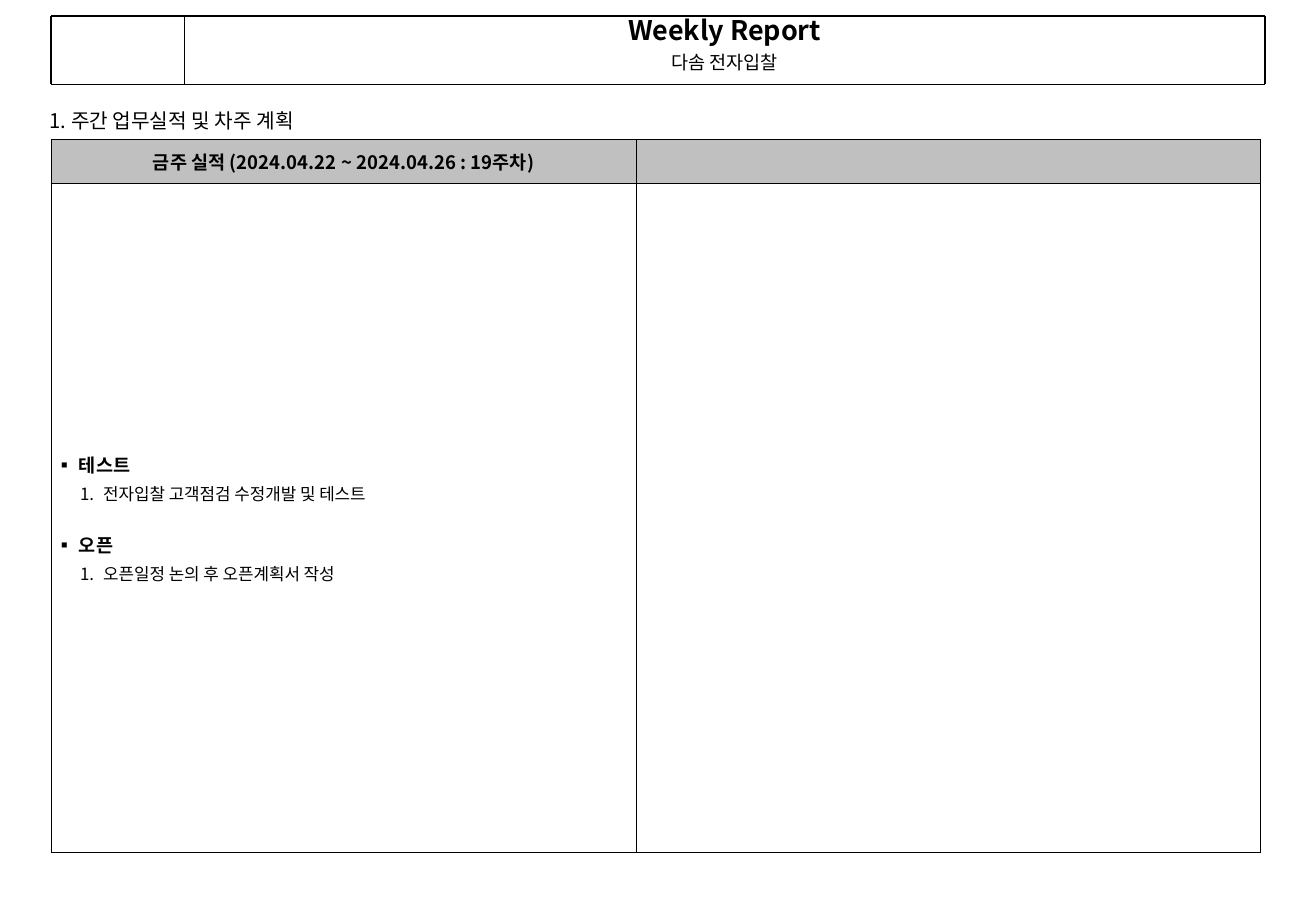
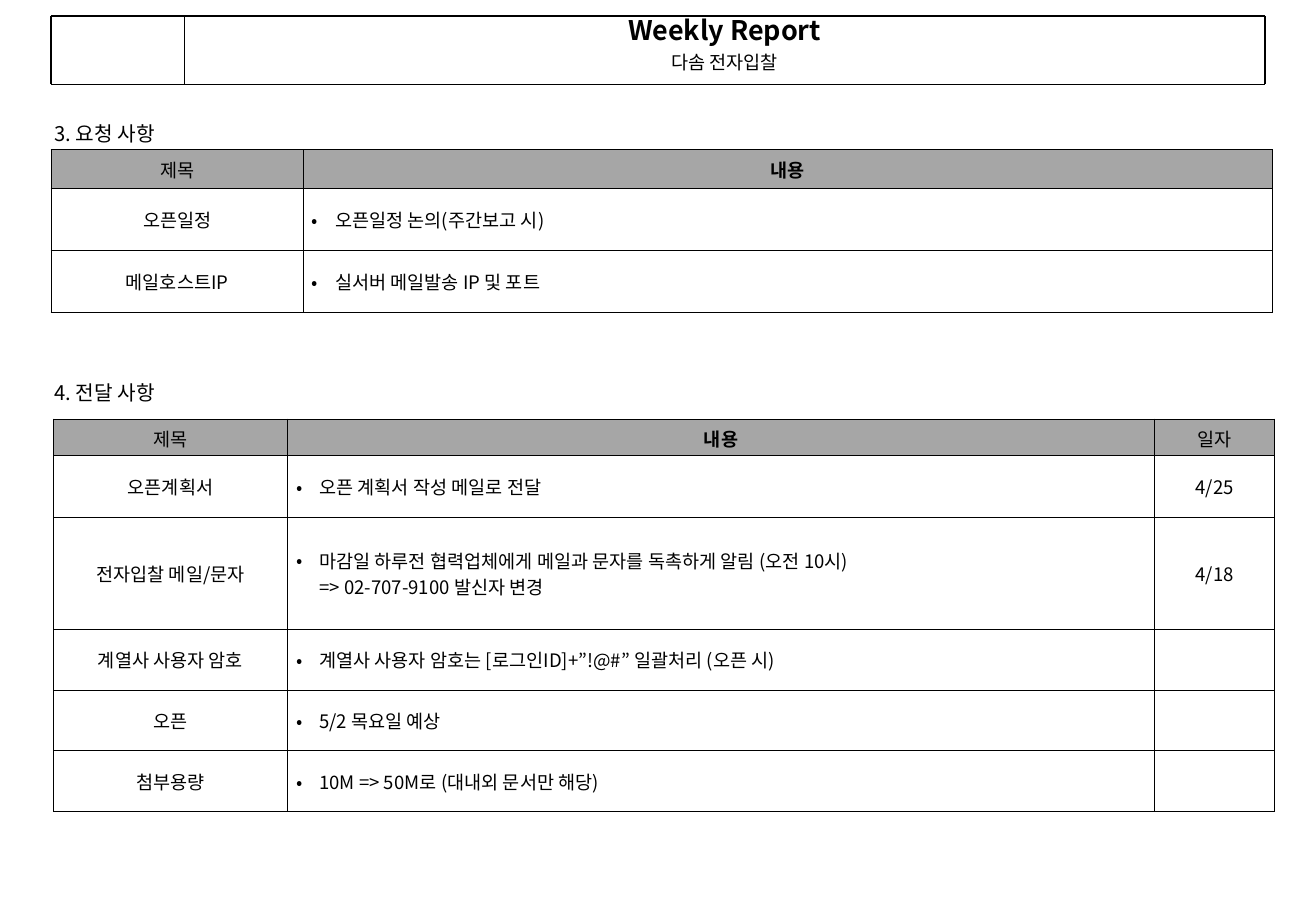
from dataclasses import dataclass

import pptx
import pptx.dml.color
import pptx.enum.shapes
import pptx.enum.text
import pptx.oxml.ns
import pptx.util
from lxml import etree

EMU_PER_PX = 9144
SLIDE_W, SLIDE_H = 1084, 750
TITLE_ONLY = 5
FONT = "Noto Sans CJK KR"
COLORS = {"ink": "000000", "silver": "C0C0C0", "gray": "A6A6A6", "white": "FFFFFF"}
HAIRLINE, THIN, MEDIUM, THICK = 0.25, 0.45, 0.75, 1.5
ALIGN = pptx.enum.text.PP_ALIGN
ANCHOR = pptx.enum.text.MSO_ANCHOR
AUTO_SIZE = pptx.enum.text.MSO_AUTO_SIZE
qn = pptx.oxml.ns.qn


@dataclass(frozen=True)
class Para:
    text: str
    size: int = 11
    bold: bool = False
    bullet: str = ""  # a bullet character, or "1." for automatic numbers
    level: int = 0
    centered: bool = False
    before: float = 0
    after: float = 0
    spacing: float = 1


@dataclass(frozen=True)
class Heading:
    text: str
    left: int
    top: int
    width: int = 108
    wrap: bool = False


@dataclass(frozen=True)
class Rule:
    x1: int
    y1: int
    x2: int
    y2: int
    weight: float


@dataclass(frozen=True)
class Grid:
    left: int
    top: int
    cols: list[int]
    heights: list[int]
    rows: list[list[list[Para]]]
    header_fill: str
    body_fill: str | None = None
    side_margins: tuple[int, int] = (7, 7)  # header row, body rows
    edge_weight: float = THIN  # top and right outer edges


BANNER_LEFT, BANNER_SPLIT, BANNER_RIGHT = 42, 152, 1042
BANNER_TOP, BANNER_BOTTOM = 13, 69
BANNER_RULES = [
    Rule(x, BANNER_TOP, x, BANNER_BOTTOM, weight)
    for x, weight in ((BANNER_SPLIT, HAIRLINE), (BANNER_LEFT, THICK), (BANNER_RIGHT, THICK))
] + [
    Rule(BANNER_LEFT, y, BANNER_RIGHT, y, weight)
    for y, weight in ((BANNER_TOP, THICK), (BANNER_BOTTOM, HAIRLINE))
]
BANNER_TEXT = [
    Para("Weekly Report", 16, bold=True, centered=True, spacing=0.95),
    Para("다솜 전자입찰", centered=True, before=2.8),
]


def px(n: int) -> pptx.util.Emu:
    return pptx.util.Emu(n * EMU_PER_PX)


def rgb(name: str) -> pptx.dml.color.RGBColor:
    return pptx.dml.color.RGBColor.from_string(COLORS[name])


def add_bullet(p, para: Para) -> None:
    pPr = p._p.get_or_add_pPr()
    pPr.set("marL", str(px(19 + 20 * para.level)))
    pPr.set("indent", str(px(-19)))
    color = etree.SubElement(pPr, qn("a:buClr"))
    etree.SubElement(color, qn("a:srgbClr"), val=COLORS["ink"])
    etree.SubElement(pPr, qn("a:buFont"), typeface=FONT)
    if para.bullet == "1.":
        etree.SubElement(pPr, qn("a:buAutoNum"), type="arabicPeriod")
    else:
        etree.SubElement(pPr, qn("a:buChar"), char=para.bullet)


def write(tf, paras: list[Para]) -> None:
    for i, para in enumerate(paras):
        p = tf.add_paragraph() if i else tf.paragraphs[0]
        if para.bullet:
            add_bullet(p, para)
        p.level = para.level
        p.alignment = ALIGN.CENTER if para.centered else ALIGN.LEFT
        p.space_before = pptx.util.Pt(para.before)
        p.space_after = pptx.util.Pt(para.after)
        p.line_spacing = para.spacing
        for j, line in enumerate(para.text.split("\n")):
            if j:
                p.add_line_break()
            r = p.add_run()
            r.text = line
            r.font.size = pptx.util.Pt(para.size)
            r.font.bold = para.bold
            r.font.name = FONT
            r.font.color.rgb = rgb("ink")
            etree.SubElement(r._r.get_or_add_rPr(), qn("a:ea"), typeface=FONT)


def draw_rule(slide, rule: Rule) -> None:
    straight = pptx.enum.shapes.MSO_CONNECTOR.STRAIGHT
    line = slide.shapes.add_connector(straight, px(rule.x1), px(rule.y1), px(rule.x2), px(rule.y2))
    line.line.width = pptx.util.Pt(rule.weight)
    line.line.color.rgb = rgb("ink")
    etree.SubElement(line._element.spPr, qn("a:effectLst"))


def draw_banner(slide) -> None:
    sp = slide.shapes.add_textbox(px(BANNER_SPLIT), px(BANNER_TOP),
                                  px(BANNER_RIGHT - BANNER_SPLIT), px(BANNER_BOTTOM - BANNER_TOP))
    tf = sp.text_frame
    tf.word_wrap = True
    tf.margin_top = tf.margin_bottom = 0
    write(tf, BANNER_TEXT)
    for rule in BANNER_RULES:
        draw_rule(slide, rule)


def format_heading(sp, heading: Heading) -> None:
    sp.left, sp.top = px(heading.left), px(heading.top)
    sp.width, sp.height = px(heading.width), px(30)
    tf = sp.text_frame
    tf.word_wrap = heading.wrap
    tf.auto_size = AUTO_SIZE.SHAPE_TO_FIT_TEXT
    tf.vertical_anchor = ANCHOR.TOP
    write(tf, [Para(heading.text, 12)])


def set_borders(cell, weights: dict[str, float]) -> None:
    tcPr = cell._tc.get_or_add_tcPr()
    for side in "LRTB":
        width = pptx.util.Pt(weights.get(side, THIN))
        ln = etree.SubElement(tcPr, qn(f"a:ln{side}"), w=str(int(width)))
        fill = etree.SubElement(ln, qn("a:solidFill"))
        etree.SubElement(fill, qn("a:srgbClr"), val=COLORS["ink"])


def format_cell(cell, paras: list[Para], fill: str | None, side_margin: int) -> None:
    if fill:
        cell.fill.solid()
        cell.fill.fore_color.rgb = rgb(fill)
    else:
        cell.fill.background()
    cell.vertical_anchor = ANCHOR.MIDDLE
    cell.margin_left = cell.margin_right = px(side_margin)
    cell.margin_top = cell.margin_bottom = px(5)
    if paras:
        write(cell.text_frame, paras)
    else:
        etree.SubElement(cell.text_frame.paragraphs[0]._p, qn("a:endParaRPr"), sz="1100")


def draw_grid(slide, grid: Grid) -> None:
    frame = slide.shapes.add_table(len(grid.heights), len(grid.cols), px(grid.left), px(grid.top),
                                   px(sum(grid.cols)), px(sum(grid.heights)))
    table = frame.table
    table.first_row = table.horz_banding = False
    for col, width in zip(table.columns, grid.cols):
        col.width = px(width)
    for row, height in zip(table.rows, grid.heights):
        row.height = px(height)
    for i, row in enumerate(grid.rows):
        for j, paras in enumerate(row):
            cell = table.cell(i, j)
            weights = {}
            if i == 0:
                weights["T"] = grid.edge_weight
            if j == len(row) - 1:
                weights["R"] = grid.edge_weight
            set_borders(cell, weights)
            fill = grid.body_fill if i else grid.header_fill
            format_cell(cell, paras, fill, grid.side_margins[min(i, 1)])


def centered(text: str, bold: bool = False) -> list[Para]:
    return [Para(text, bold=bold, centered=True)] if text else []


def topic_row(topic: str, content: str, *date: str) -> list[list[Para]]:
    return [centered(topic), [Para(content, bullet="•")], *map(centered, date)]


def work_item(topic: str, task: str, before: float = 0) -> list[Para]:
    return [
        Para(topic, bold=True, bullet="▪", before=before, after=1),
        Para(task, 10, bullet="1.", level=1, before=1, after=1),
    ]


WEEKLY_WORK = Grid(
    42, 115, [482, 514], [36, 551],
    [
        [centered("금주 실적 (2024.04.22 ~ 2024.04.26 : 19주차)", bold=True), []],
        [work_item("테스트", "전자입찰 고객점검 수정개발 및 테스트")
         + work_item("오픈", "오픈일정 논의 후 오픈계획서 작성", before=14), []],
    ],
    "silver", side_margins=(2, 4), edge_weight=MEDIUM,
)
REQUESTS = Grid(
    42, 123, [208, 798], [32, 51, 51],
    [
        [centered("제목"), centered("내용", bold=True)],
        topic_row("오픈일정", "오픈일정 논의(주간보고 시)"),
        topic_row("메일호스트IP", "실서버 메일발송 IP 및 포트"),
    ],
    "gray",
)
NOTICES = Grid(
    44, 345, [193, 714, 99], [30, 51, 92, 50, 50, 50],
    [
        [centered("제목"), centered("내용", bold=True), centered("일자")],
        topic_row("오픈계획서", "오픈 계획서 작성 메일로 전달", "4/25"),
        topic_row("전자입찰 메일/문자",
                  "마감일 하루전 협력업체에게 메일과 문자를 독촉하게 알림 (오전 10시)\n"
                  "=> 02-707-9100 발신자 변경", "4/18"),
        topic_row("계열사 사용자 암호", "계열사 사용자 암호는 [로그인ID]+”!@#” 일괄처리 (오픈 시)", ""),
        topic_row("오픈", "5/2 목요일 예상", ""),
        topic_row("첨부용량", "10M => 50M로 (대내외 문서만 해당)", ""),
    ],
    "gray", body_fill="white",
)
SLIDES = [
    [(Heading("1. 주간 업무실적 및 차주 계획", 31, 84, 307, wrap=True), WEEKLY_WORK)],
    [(Heading("3. 요청 사항", 35, 95), REQUESTS), (Heading("4. 전달 사항", 35, 308), NOTICES)],
]


def main() -> None:
    prs = pptx.Presentation()
    prs.slide_width, prs.slide_height = px(SLIDE_W), px(SLIDE_H)
    for sections in SLIDES:
        slide = prs.slides.add_slide(prs.slide_layouts[TITLE_ONLY])
        draw_banner(slide)
        for i, (heading, grid) in enumerate(sections):
            sp = slide.shapes.add_textbox(0, 0, 0, 0) if i else slide.shapes.title
            format_heading(sp, heading)
            draw_grid(slide, grid)
    prs.save("out.pptx")


if __name__ == "__main__":
    main()
